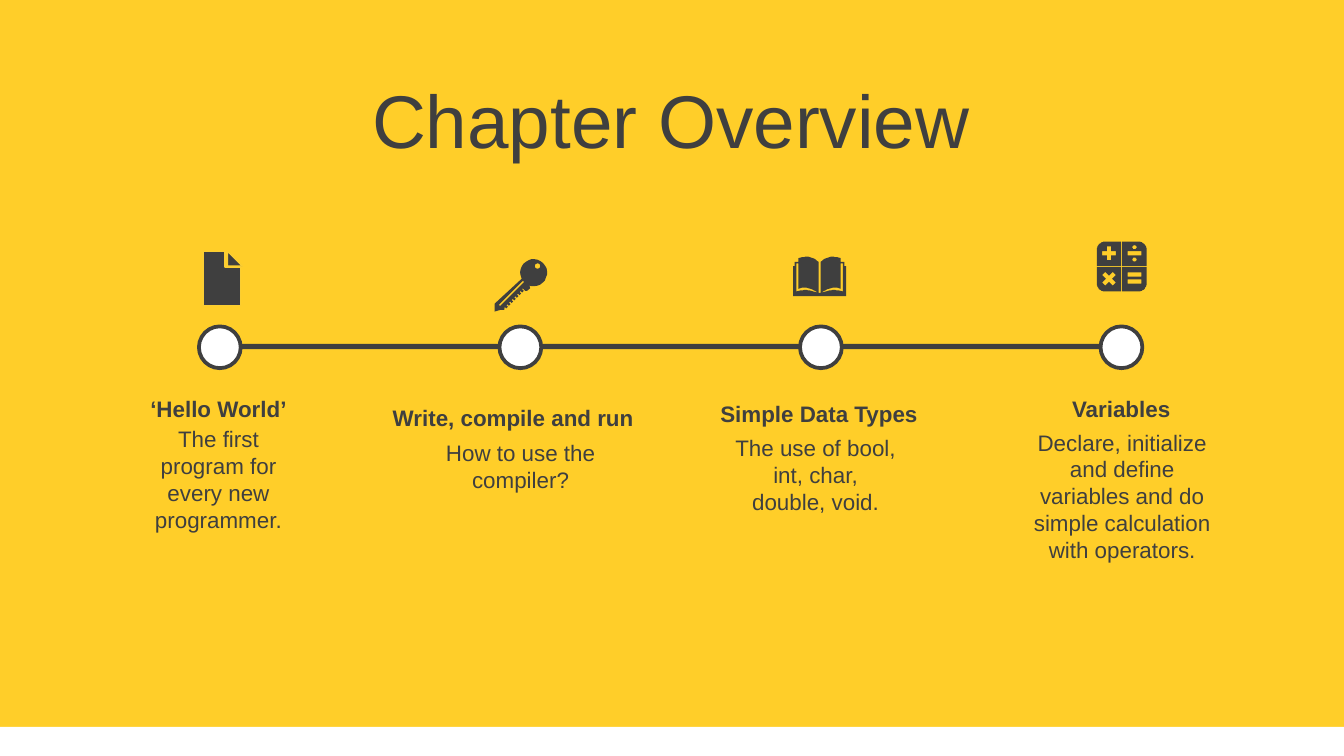
from math import cos, radians, sin

from lxml.etree import SubElement
from pptx import Presentation
from pptx.dml.color import RGBColor
from pptx.enum.shapes import MSO_SHAPE as Preset
from pptx.enum.text import MSO_ANCHOR as Anchor, PP_ALIGN as Align
from pptx.util import Cm, Pt

YELLOW = RGBColor(0xFF, 0xCE, 0x29)
EDGE_YELLOW = RGBColor(0xFB, 0xCE, 0x32)
WHITE = RGBColor(0xFF, 0xFF, 0xFF)
DARK = RGBColor(0x3F, 0x3F, 0x3F)

FONT = "Arial"
SLIDE_WIDTH, SLIDE_HEIGHT = 25.4, 14.29
NODE_LEFT, NODE_TOP, NODE_SIZE, NODE_STEP = 3.76, 6.17, 0.79, 5.68

# Heading, its box (left, top, width, height), body, its box; all in cm
CHAPTERS = [
    ("‘Hello World’", (2.29, 7.34, 3.68, 0.76),
     ["The first program for every new programmer."], (2.29, 7.92, 3.68, 1.8)),
    ("Write, compile and run", (7.06, 7.52, 5.28, 0.76),
     ["How to use the compiler?"], (7.29, 8.18, 5.1, 1.27)),
    ("Simple Data Types", (12.98, 7.44, 5.0, 0.46),
     ["The use of bool, int, char,", "double, void."], (13.61, 8.08, 3.61, 1.8)),
    ("Variables", (19.35, 7.34, 3.68, 0.76),
     ["Declare, initialize and define variables and do simple calculation "
      "with operators."], (19.18, 7.98, 4.06, 1.8)),
]


def paint(shape, fill, line=None, weight=0.75):
    shape.shadow.inherit = False
    shape.fill.solid()
    shape.fill.fore_color.rgb = fill
    if line is None:
        shape.line.fill.background()
    else:
        shape.line.color.rgb = line
        shape.line.width = Pt(weight)


def add_preset(page, preset, left, top, width, height, fill, **line):
    shape = page.shapes.add_shape(preset, Cm(left), Cm(top), Cm(width), Cm(height))
    paint(shape, fill, **line)


def add_text(page, lines, place, size=12, bold=False, anchor=Anchor.TOP):
    box = page.shapes.add_textbox(*map(Cm, place))
    frame = box.text_frame
    frame.word_wrap = True
    frame.vertical_anchor = anchor
    for index, line in enumerate(lines):
        para = frame.paragraphs[0] if index == 0 else frame.add_paragraph()
        para.alignment = Align.CENTER
        span = para.add_run()
        span.text = line
        span.font.name = FONT
        span.font.size = Pt(size)
        span.font.bold = bold
        span.font.color.rgb = DARK


def add_icon(page, left, top, contours, **line):
    """Draw contours, given in tenths of a millimetre, as one shape with holes."""
    builder = None
    for first, *rest in contours:
        if builder is None:
            builder = page.shapes.build_freeform(*first, scale=Cm(0.01))
        else:
            builder.move_to(*first)
        builder.add_line_segments(rest, close=True)
    paint(builder.convert_to_shape(Cm(left), Cm(top)), DARK, **line)


def arc(x, y, radius, start=0, end=360, steps=24):
    angles = [radians(start + (end - start) * i / steps) for i in range(steps + 1)]
    return [(x + radius * cos(a), y + radius * sin(a)) for a in angles]


def curve(*controls, steps=12):
    """Points along a cubic Bezier curve."""
    points = []
    for t in [i / steps for i in range(steps + 1)]:
        weights = ((1 - t) ** 3, 3 * t * (1 - t) ** 2, 3 * t * t * (1 - t), t ** 3)
        points.append(tuple(sum(w * c[axis] for w, c in zip(weights, controls))
                            for axis in (0, 1)))
    return points


def rectangle(left, top, right, bottom):
    return [(left, top), (right, top), (right, bottom), (left, bottom)]


def cross(x, y, reach, half, angle=0):
    arm = [(half, -half), (reach, -half), (reach, half)]
    turns = [radians(angle + quarter) for quarter in (0, 90, 180, 270)]
    return [(x + px * cos(a) - py * sin(a), y + px * sin(a) + py * cos(a))
            for a in turns for px, py in arm]


def mirror(points, width):
    return [(width - x, y) for x, y in points]


def document_contours():
    sheet = [(0, 0), (41, 0), (41, 30), (71, 30), (71, 102), (0, 102)]
    fold = [(46, 0), (74, 28), (46, 28)]
    return [sheet, fold]


def key_contours():
    outline = [(0, 99), (0, 84)] + arc(73.5, 25.5, 25.5, 154, 474)
    outline += [(66, 51), (67, 55), (61, 60), (58, 60), (53, 55)]
    for shift in range(0, 35, 5):
        outline += [(x - shift, y + shift)
                    for x, y in [(52, 57), (55, 60), (52, 63), (49, 60)]]
    outline += [(18, 96), (10, 96)]
    slot = [(53, 41), (8, 86), (10, 89), (56, 43)]
    return [outline, slot, arc(81, 13, 5)]


def book_contours():
    half = curve((48, 69), (36, 61), (23, 56), (10, 61))
    half += [(10, 13), (6, 13)]
    half += curve((6, 66), (23, 61), (33, 64), (50, 69))
    half += [(50, 75), (0, 75), (0, 18), (3, 18), (3, 10), (10, 10)]
    half += curve((10, 3), (25, -2), (38, 0), (48, 10))
    return [half, mirror(half, 100)]


def calculator_contours():
    size = 94
    corner = arc(15, 15, 15, 180, 270) + [(46, 0), (46, 46), (0, 46)]
    flipped = [(x, size - y) for x, y in corner]
    return [
        corner, mirror(corner, size), flipped, mirror(flipped, size),
        cross(23, 22, 13, 4), cross(23, 70, 14, 4, angle=45),
        rectangle(58, 18, 84, 26), arc(71, 10.5, 4), arc(71, 33.5, 4),
        rectangle(58, 58, 84, 66), rectangle(58, 71, 84, 79),
    ]


def add_timeline(page):
    add_preset(page, Preset.RECTANGLE, 4.17, 6.5, 17.04, 0.1, DARK)
    for index in range(len(CHAPTERS)):
        add_preset(page, Preset.OVAL, NODE_LEFT + index * NODE_STEP, NODE_TOP,
                   NODE_SIZE, NODE_SIZE, WHITE, line=DARK, weight=2)


def main():
    deck = Presentation()
    deck.slide_width, deck.slide_height = Cm(SLIDE_WIDTH), Cm(SLIDE_HEIGHT)
    page = deck.slides.add_slide(deck.slide_layouts[6])
    page.background.fill.solid()
    page.background.fill.fore_color.rgb = YELLOW

    add_preset(page, Preset.RECTANGLE, 0, 13.74, SLIDE_WIDTH, 0.55, WHITE)
    add_timeline(page)
    add_text(page, ["Chapter Overview"], (0, 1.42, 25.35, 1.63), size=40,
             anchor=Anchor.MIDDLE)

    add_icon(page, 3.84, 4.75, document_contours(), line=EDGE_YELLOW)
    add_icon(page, 9.35, 4.9, key_contours())
    add_icon(page, 14.99, 4.85, book_contours())
    add_icon(page, 20.73, 4.57, calculator_contours())

    for heading, heading_place, body, body_place in CHAPTERS:
        add_text(page, [heading], heading_place, bold=True)
        add_text(page, body, body_place)

    deck.save("out.pptx")


if __name__ == "__main__":
    main()
